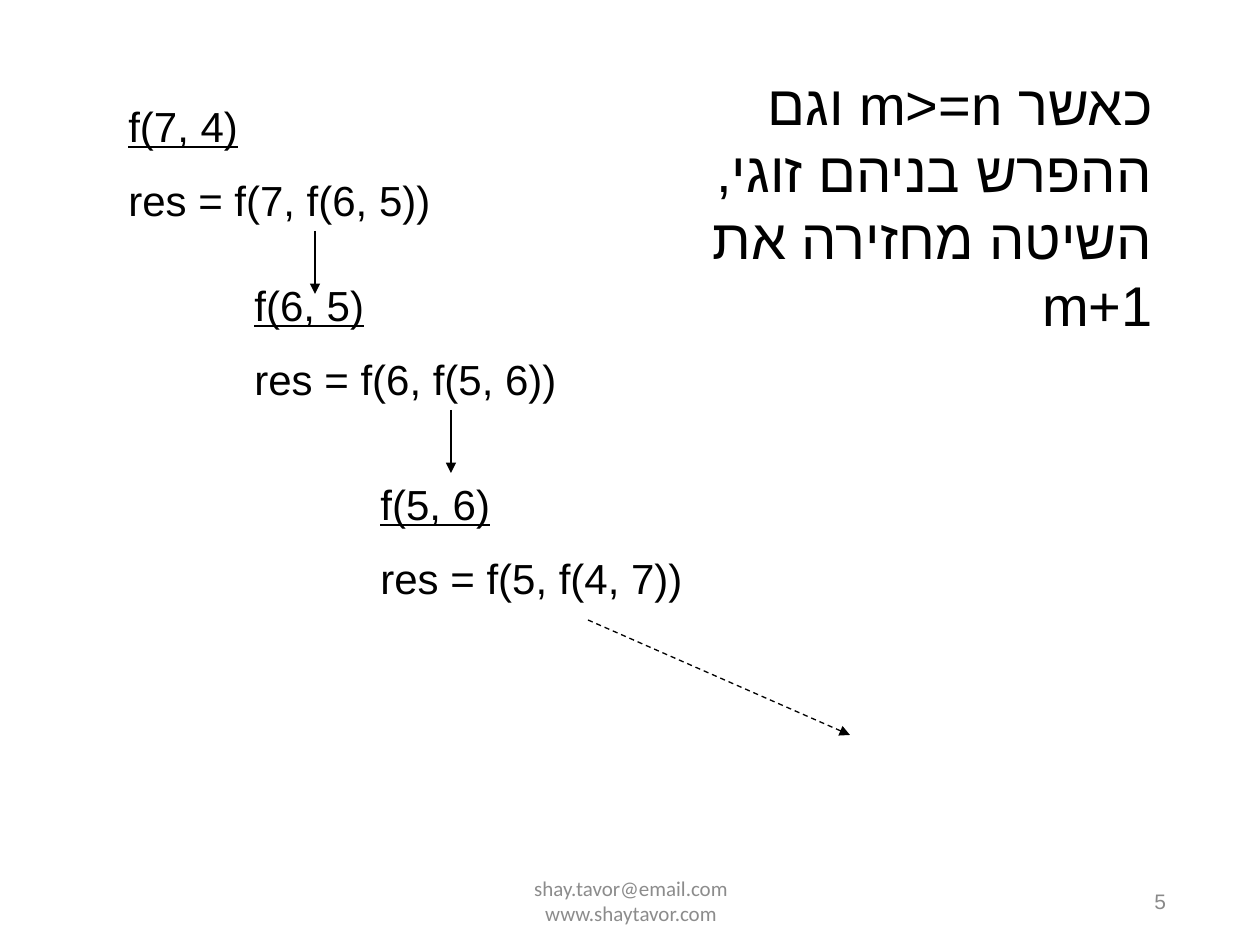
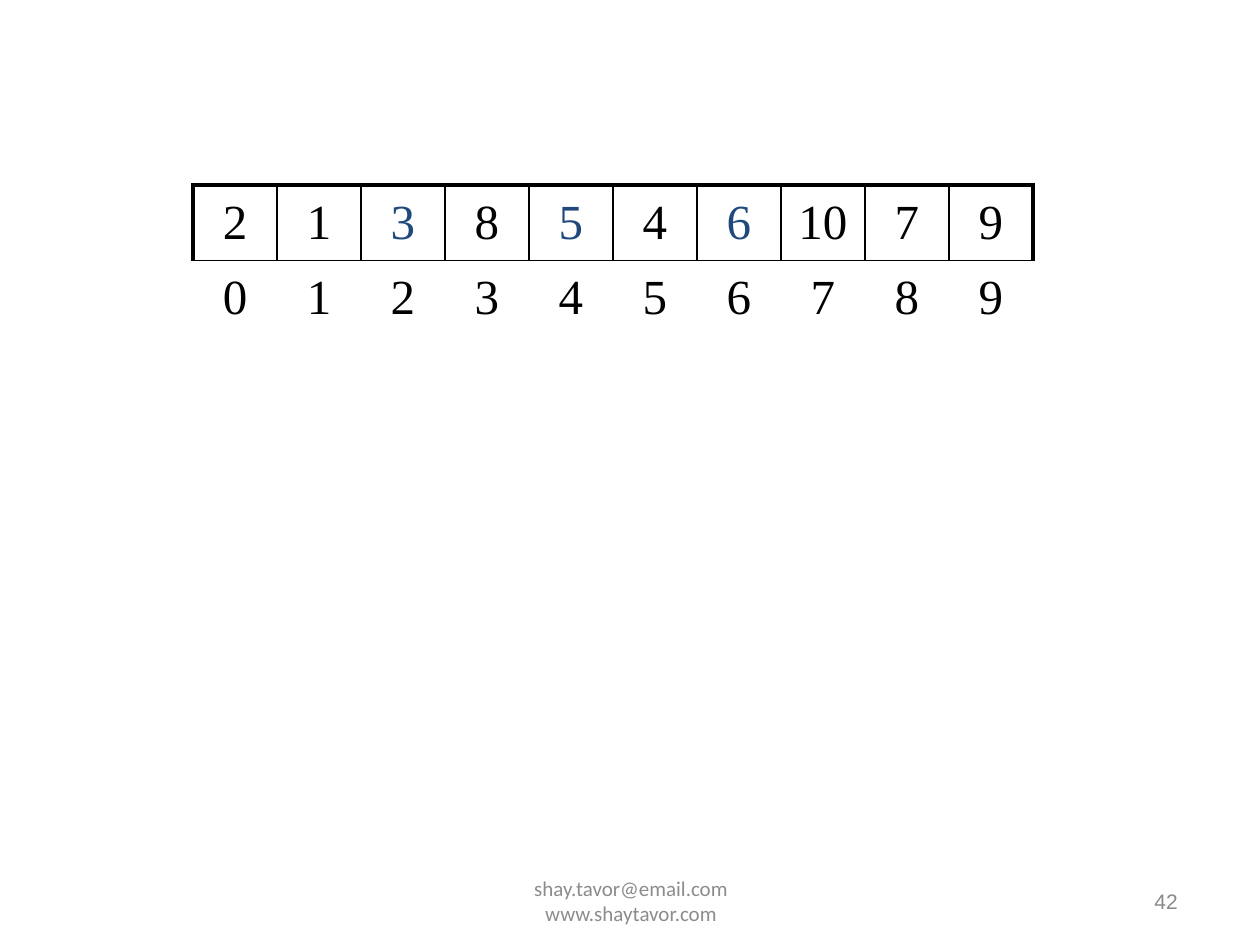
import pptx
import pptx.dml.color
import pptx.enum.dml
import pptx.enum.shapes
import pptx.enum.text
import pptx.oxml
import pptx.oxml.ns
import pptx.util

PX_PER_INCH = 126
COLORS = {"ink": "000000", "mark": "1F497D", "footer": "8C8C8C", "number": "898989"}
ALIGN = pptx.enum.text.PP_ALIGN
ANCHOR = pptx.enum.text.MSO_ANCHOR
Pt = pptx.util.Pt


def px(n):
    """Turn pixels into EMU."""
    return pptx.util.Emu(round(n * 914400 / PX_PER_INCH))


def rgb(name):
    """Look up a named colour."""
    return pptx.dml.color.RGBColor.from_string(COLORS[name])


def add_xml(parent, tag, **attrs):
    """Append an element and return it."""
    el = pptx.oxml.parse_xml(f"<{tag} {pptx.oxml.ns.nsdecls('a')}/>")
    for key, value in attrs.items():
        el.set(key, str(value))
    parent.append(el)
    return el


def style(p, size, font="Arial", color="ink", align=ALIGN.LEFT, rtl=False):
    """Format one paragraph."""
    p.alignment = align
    p.font.size = Pt(size)
    p.font.name = font
    p.font.color.rgb = rgb(color)
    if rtl:
        pPr = p._p.get_or_add_pPr()
        pPr.set("rtl", "1")
        add_xml(pPr.defRPr, "a:cs", typeface="Arial")


def add_text(slide, box, lines, size, anchor=ANCHOR.TOP, **fmt):
    """Add a wrapping text box and return its paragraphs."""
    tf = slide.shapes.add_textbox(*map(px, box)).text_frame
    tf.word_wrap = True
    tf.vertical_anchor = anchor
    tf.text = "\n".join(lines)
    for p in tf.paragraphs:
        style(p, size, **fmt)
    return tf.paragraphs


def add_footer(slide, number):
    """Add the contact line and the slide number."""
    add_text(slide, (431, 876, 400, 50), ["shay.tavor@email.com\vwww.shaytavor.com"], 12,
             ANCHOR.MIDDLE, font="Calibri", color="footer", align=ALIGN.CENTER, rtl=True)
    add_text(slide, (1142, 876, 55, 50), [str(number)], 12,
             ANCHOR.MIDDLE, font="Calibri", color="number", rtl=True)


def add_call(slide, box, m, n):
    """Add one recursive call: its underlined heading and its result."""
    heading, result = add_text(
        slide, box, [f"f({m}, {n})", f"res = f({m}, f({m - 1}, {n + 1}))"], 24)
    heading.font.underline = True
    result.space_before = Pt(13.5)


def add_arrow(slide, x, y, dx, dy, dashed=False):
    """Add an arrow from a point by an offset."""
    line = slide.shapes.add_connector(
        pptx.enum.shapes.MSO_CONNECTOR.STRAIGHT, px(x), px(y), px(x + dx), px(y + dy))
    line.line.color.rgb = rgb("ink")
    line.line.width = Pt(0.75)
    if dashed:
        line.line.dash_style = pptx.enum.dml.MSO_LINE.DASH
    add_xml(line.line._get_or_add_ln(), "a:tailEnd", type="triangle")
    add_xml(line._element.spPr, "a:effectLst")


def set_borders(cell, **widths):
    """Set the cell's borders by side, with none where the width is 0."""
    tcPr = cell._tc.get_or_add_tcPr()
    for side in "LRTB":
        width = widths.get(side, 0)
        ln = add_xml(tcPr, f"a:ln{side}", w=Pt(width))
        if width:
            fill = add_xml(ln, "a:solidFill")
            add_xml(fill, "a:srgbClr", val=COLORS["ink"])
        else:
            add_xml(ln, "a:noFill")


def add_array(slide, box, values, marked):
    """Add an array as a framed row of values above a row of indexes."""
    last = len(values) - 1
    x, y, w, h = box
    table = slide.shapes.add_table(2, len(values), px(x), px(y), px(w), px(h)).table
    table.first_row = table.horz_banding = False
    for row in table.rows:
        row.height = px(h / 2)
    for i, value in enumerate(values):
        table.columns[i].width = px(w / len(values))
        set_borders(table.cell(0, i), L=1 if i else 2.25,
                    R=1 if i < last else 2.25, T=2.25, B=1)
        set_borders(table.cell(1, i), T=1)
        for row, number in enumerate((value, i)):
            cell = table.cell(row, i)
            cell.fill.background()
            cell.vertical_anchor = ANCHOR.MIDDLE
            cell.text = str(number)
            color = "mark" if row == 0 and value in marked else "ink"
            style(cell.text_frame.paragraphs[0], 28, "Times New Roman", color, ALIGN.CENTER)


def build_recursion(slide):
    """Build the slide that traces the recursive calls."""
    add_footer(slide, 5)
    for i, (y, width) in enumerate([(94, 451), (273, 357), (472, 336)]):
        add_call(slide, (116 + 126 * i, y, width, 139), 7 - i, 4 + i)
    add_arrow(slide, 315, 231, 0, 63)
    add_arrow(slide, 451, 410, 0, 63)
    add_arrow(slide, 588, 620, 262, 115, dashed=True)
    add_text(slide, (577, 63, 588, 217),
             ["כאשר m>=n וגם ההפרש בניהם זוגי, השיטה מחזירה את m+1"],
             32, align=ALIGN.RIGHT, rtl=True)


def build_array(slide):
    """Build the slide that shows the array."""
    add_footer(slide, 42)
    add_array(slide, (193, 185, 840, 151), [2, 1, 3, 8, 5, 4, 6, 10, 7, 9], {3, 5, 6})


def main():
    """Build and save the presentation."""
    prs = pptx.Presentation()
    prs.slide_width, prs.slide_height = px(1260), px(945)
    for build in (build_recursion, build_array):
        build(prs.slides.add_slide(prs.slide_layouts[6]))
    prs.save("out.pptx")


if __name__ == "__main__":
    main()
